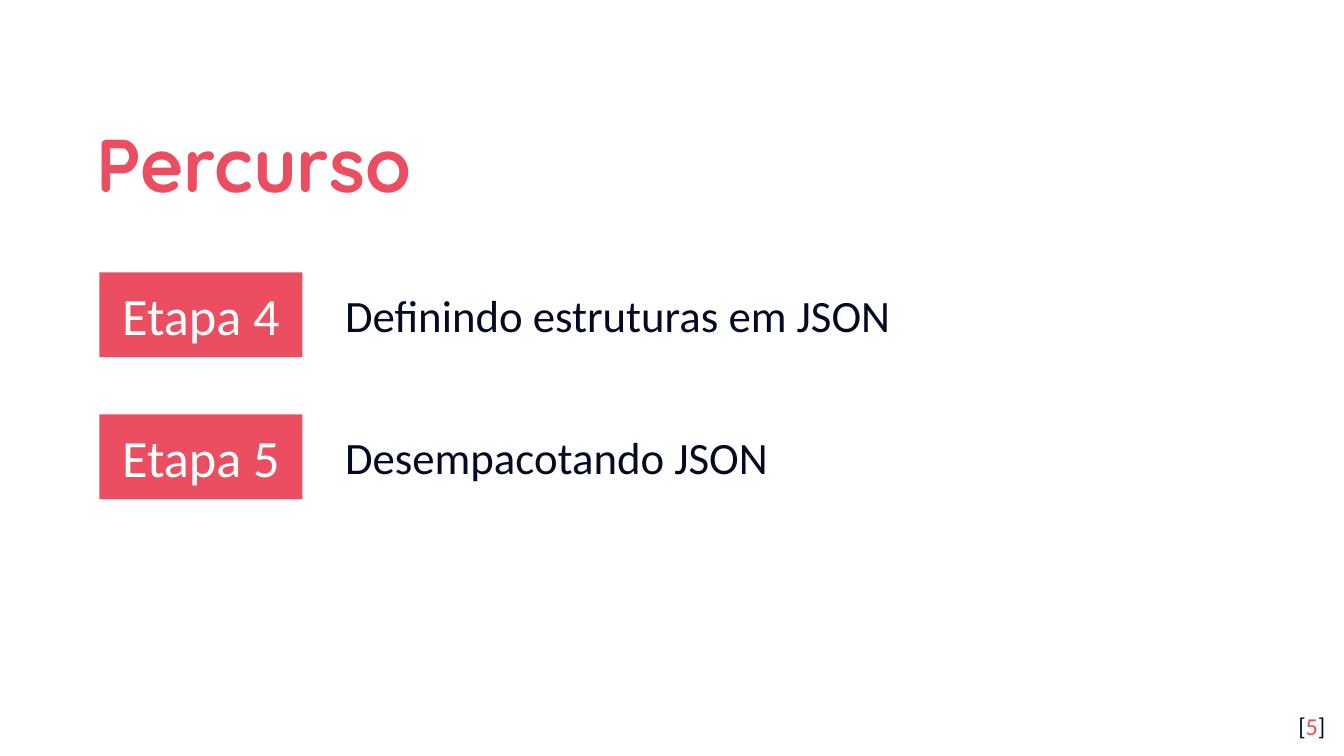
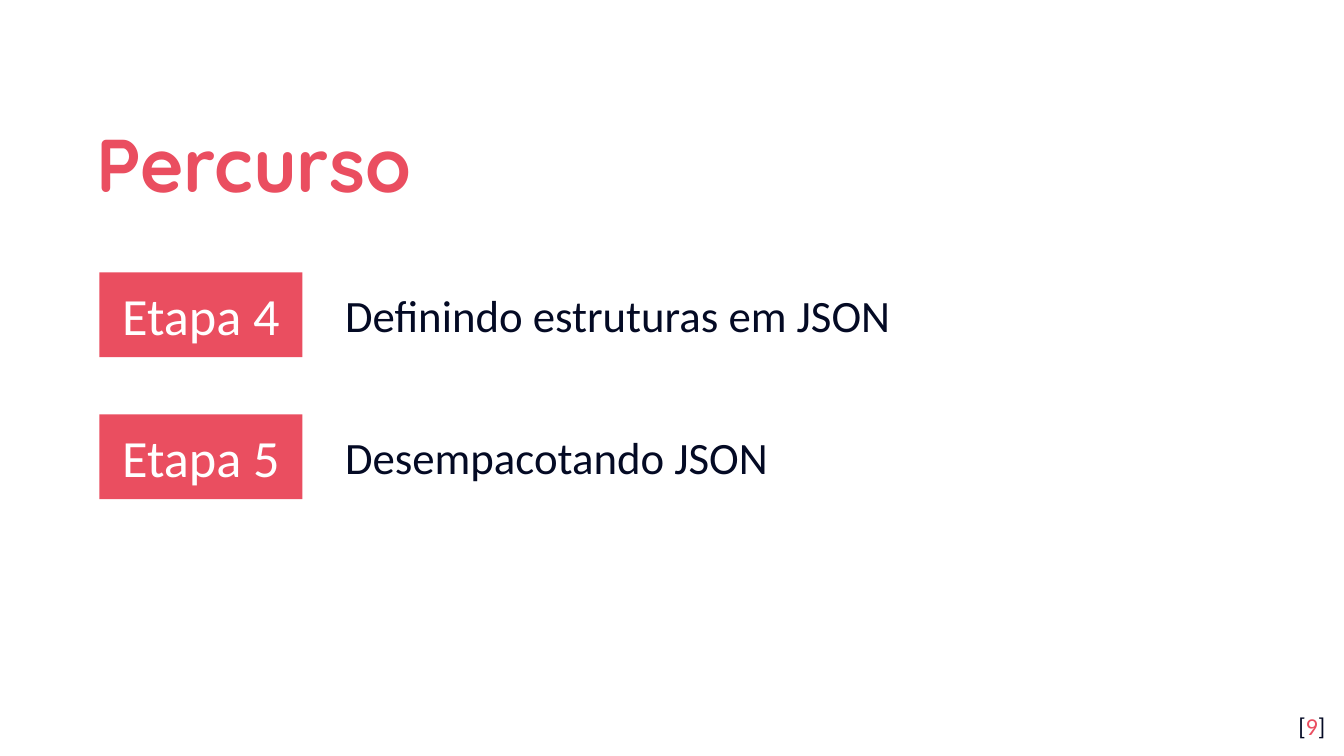
from dataclasses import dataclass

from pptx import Presentation
from pptx.dml.color import RGBColor
from pptx.enum.shapes import MSO_SHAPE
from pptx.enum.text import MSO_ANCHOR, PP_ALIGN
from pptx.shapes.autoshape import Shape
from pptx.slide import Slide
from pptx.util import Pt

RECTANGLE = MSO_SHAPE.RECTANGLE
TOP, MIDDLE = MSO_ANCHOR.TOP, MSO_ANCHOR.MIDDLE
LEFT, CENTER, RIGHT = PP_ALIGN.LEFT, PP_ALIGN.CENTER, PP_ALIGN.RIGHT
BLANK_LAYOUT = 6


@dataclass(frozen=True)
class Theme:
    accent: RGBColor = RGBColor(0xEA, 0x4E, 0x60)
    ink: RGBColor = RGBColor(0x04, 0x0A, 0x24)
    paper: RGBColor = RGBColor(0xFF, 0xFF, 0xFF)
    title_font: str = "Quicksand"
    body_font: str = "Calibri"
    title_size: float = 40
    badge_size: float = 28
    topic_size: float = 24
    number_size: float = 13


THEME = Theme()


@dataclass(frozen=True)
class Area:
    """A rectangle on the page, in points."""
    left: float
    top: float
    width: float
    height: float

    def lengths(self) -> tuple[Pt, Pt, Pt, Pt]:
        return Pt(self.left), Pt(self.top), Pt(self.width), Pt(self.height)


@dataclass(frozen=True)
class TextStyle:
    size: float
    color: RGBColor
    font: str = THEME.body_font
    bold: bool = False
    align: PP_ALIGN = LEFT
    anchor: MSO_ANCHOR = TOP
    line_spacing: float = 1.0
    side_inset: float = 7.2
    end_inset: float = 7.2
    hanging: float = 0


@dataclass(frozen=True)
class Span:
    text: str
    color: RGBColor


@dataclass(frozen=True)
class Step:
    label: str
    topic: str


TITLE = TextStyle(THEME.title_size, THEME.accent, THEME.title_font, bold=True,
                  anchor=MIDDLE, line_spacing=1.15)
BADGE = TextStyle(THEME.badge_size, THEME.paper, align=CENTER, anchor=MIDDLE)
TOPIC = TextStyle(THEME.topic_size, THEME.ink, end_inset=3.6, hanging=36)
NUMBER = TextStyle(THEME.number_size, THEME.ink, align=RIGHT)

PAGE_WIDTH, PAGE_HEIGHT = 720, 405
TITLE_AREA = Area(44.6, 50.4, 583.2, 66.2)
NUMBER_AREA = Area(673.9, 373.7, 43.2, 31)
BADGE_LEFT, BADGE_WIDTH, BADGE_HEIGHT = 53.3, 108.7, 45.4
TOPIC_LEFT, TOPIC_WIDTH, TOPIC_HEIGHT = 177.8, 486, 36
FIRST_STEP_TOP, STEP_PITCH = 146, 76

STEPS = (
    Step("Etapa 4", "Definindo estruturas em JSON"),
    Step("Etapa 5", "Desempacotando JSON"),
)
PAGE_NUMBERS = (5, 9)


def apply(target: object, values: dict[str, object]) -> None:
    for name, value in values.items():
        setattr(target, name, value)


def write(box: Shape, style: TextStyle, *spans: Span) -> None:
    frame = box.text_frame
    apply(frame, {
        "word_wrap": True, "vertical_anchor": style.anchor,
        "margin_left": Pt(style.side_inset), "margin_right": Pt(style.side_inset),
        "margin_top": Pt(style.end_inset), "margin_bottom": Pt(style.end_inset),
    })
    para = frame.paragraphs[0]
    apply(para, {"alignment": style.align, "line_spacing": style.line_spacing})
    if style.hanging:
        properties = para._p.get_or_add_pPr()
        properties.set("marL", str(Pt(style.hanging)))
        properties.set("indent", str(-Pt(style.hanging)))
    for span in spans:
        run = para.add_run()
        run.text = span.text
        apply(run.font, {"name": style.font, "size": Pt(style.size),
                         "bold": style.bold})
        run.font.color.rgb = span.color


def add_text(page: Slide, area: Area, style: TextStyle, *spans: Span) -> None:
    write(page.shapes.add_textbox(*area.lengths()), style, *spans)


def add_badge(page: Slide, area: Area, label: str) -> None:
    badge = page.shapes.add_shape(RECTANGLE, *area.lengths())
    badge.shadow.inherit = False
    badge.fill.solid()
    badge.fill.fore_color.rgb = THEME.accent
    badge.line.fill.background()
    write(badge, BADGE, Span(label, BADGE.color))


def add_step(page: Slide, index: int, step: Step) -> None:
    """Draw a badge with its topic centred on the same row."""
    top = FIRST_STEP_TOP + index * STEP_PITCH
    topic_top = top + (BADGE_HEIGHT - TOPIC_HEIGHT) / 2
    add_badge(page, Area(BADGE_LEFT, top, BADGE_WIDTH, BADGE_HEIGHT), step.label)
    add_text(page, Area(TOPIC_LEFT, topic_top, TOPIC_WIDTH, TOPIC_HEIGHT),
             TOPIC, Span(step.topic, TOPIC.color))


def add_page_number(page: Slide, number: int) -> None:
    add_text(page, NUMBER_AREA, NUMBER, Span("[", THEME.ink),
             Span(str(number), THEME.accent), Span("]", THEME.ink))


def add_route_page(deck: Presentation, number: int) -> None:
    page = deck.slides.add_slide(deck.slide_layouts[BLANK_LAYOUT])
    page.background.fill.solid()
    page.background.fill.fore_color.rgb = THEME.paper
    add_text(page, TITLE_AREA, TITLE, Span("Percurso", TITLE.color))
    for index, step in enumerate(STEPS):
        add_step(page, index, step)
    add_page_number(page, number)


def main() -> None:
    deck = Presentation()
    apply(deck, {"slide_width": Pt(PAGE_WIDTH), "slide_height": Pt(PAGE_HEIGHT)})
    for number in PAGE_NUMBERS:
        add_route_page(deck, number)
    deck.save("out.pptx")


if __name__ == "__main__":
    main()
